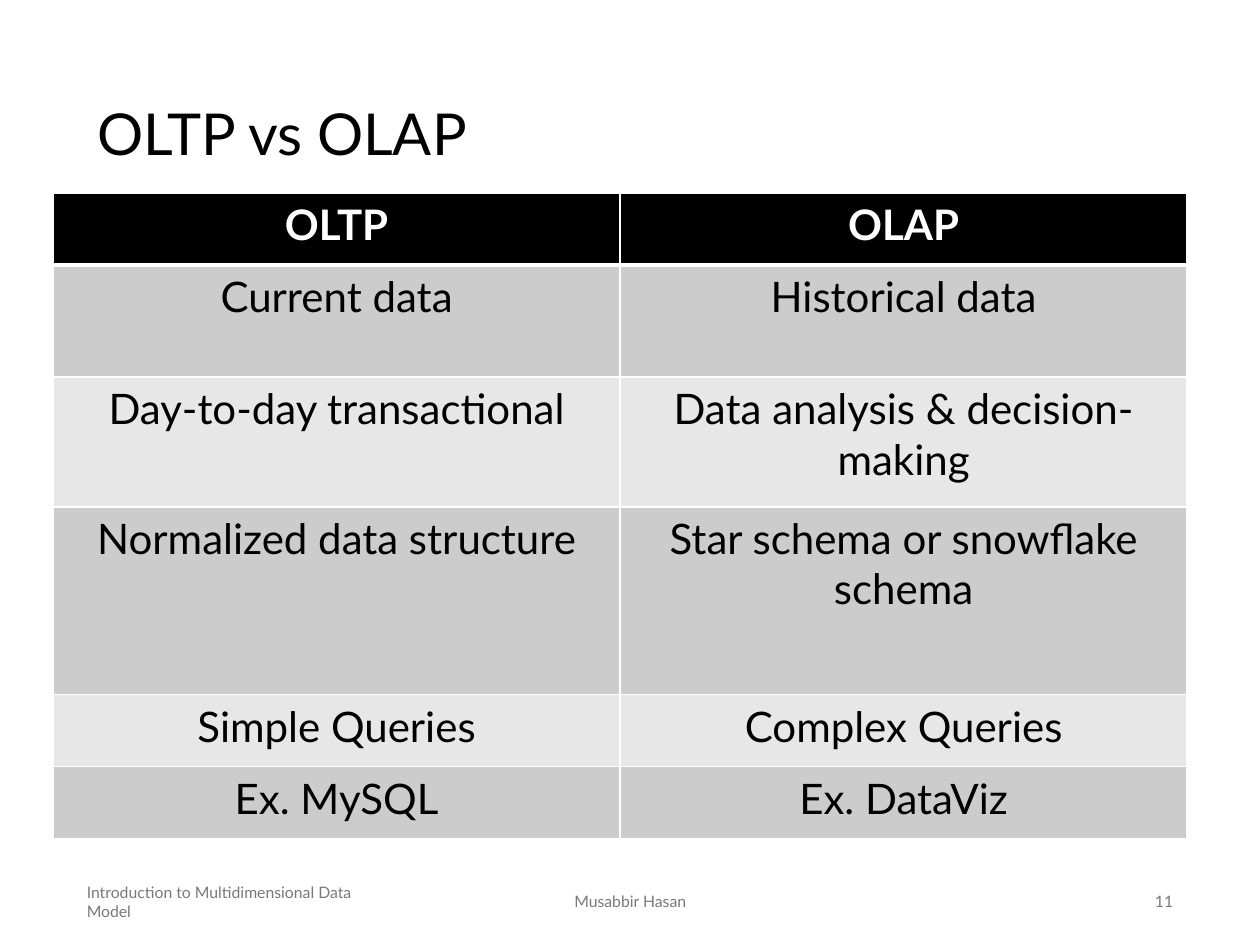
from dataclasses import dataclass

from lxml.etree import SubElement
from pptx import Presentation
from pptx.dml.color import RGBColor
from pptx.enum.text import MSO_ANCHOR, PP_ALIGN
from pptx.oxml.ns import qn
from pptx.util import Cm, Pt

COLORS = {
    "black": "000000",
    "white": "FFFFFF",
    "footer": "797979",
    "dark_band": "CCCCCC",
    "light_band": "E7E7E7",
}
FONT = "Lato"


@dataclass
class Label:
    text: str
    left: float
    top: float
    width: float
    height: float
    size: float = 9
    color: str = "footer"
    align: PP_ALIGN = PP_ALIGN.LEFT
    inset_top: float = 0.03


@dataclass
class Row:
    oltp: str
    olap: str
    height: float


FOOTER_TOP, FOOTER_HEIGHT = 17.65, 1.02
LABELS = [
    Label("OLTP vs OLAP", 1.96, 0.86, 21.46, 2.77, 33, "black", inset_top=0.86),
    Label("Introduction to Multidimensional Data Model",
          1.75, FOOTER_TOP, 5.72, FOOTER_HEIGHT),
    Label("Musabbir Hasan", 8.41, FOOTER_TOP, 8.59, FOOTER_HEIGHT,
          align=PP_ALIGN.CENTER),
    Label("11", 17.93, FOOTER_TOP, 5.72, FOOTER_HEIGHT, align=PP_ALIGN.RIGHT),
]
ROWS = [
    Row("OLTP", "OLAP", 1.45),
    Row("Current data", "Historical data", 2.26),
    Row("Day-to-day transactional", "Data analysis & decision-making", 2.62),
    Row("Normalized data structure", "Star schema or snowflake schema", 3.78),
    Row("Simple Queries", "Complex Queries", 1.45),
    Row("Ex. MySQL", "Ex. DataViz", 1.45),
]
COLUMN_WIDTH = 11.43


def rgb(name: str) -> RGBColor:
    return RGBColor.from_string(COLORS[name])


def write(tf, text: str, *, size: float, color: str,
          align: PP_ALIGN = PP_ALIGN.LEFT, bold: bool = False) -> None:
    p = tf.paragraphs[0]
    p.alignment = align
    r = p.add_run()
    r.text = text
    r.font.name = FONT
    r.font.size = Pt(size)
    r.font.bold = bold
    r.font.color.rgb = rgb(color)


def add_label(s, label: Label) -> None:
    sp = s.shapes.add_textbox(Cm(label.left), Cm(label.top),
                              Cm(label.width), Cm(label.height))
    tf = sp.text_frame
    tf.word_wrap = True
    tf.vertical_anchor = MSO_ANCHOR.MIDDLE
    tf.margin_left = tf.margin_right = tf.margin_bottom = 0
    tf.margin_top = Cm(label.inset_top)
    write(tf, label.text, size=label.size, color=label.color, align=label.align)


def set_borders(cell, **widths: float) -> None:
    tc_pr = cell._tc.get_or_add_tcPr()
    for side, width in widths.items():
        ln = SubElement(tc_pr, qn(f"a:ln{side}"), w=str(Pt(width)))
        fill = SubElement(ln, qn("a:solidFill"))
        SubElement(fill, qn("a:srgbClr"), val=COLORS["white"])


def add_comparison(s, rows: list[Row]) -> None:
    height = sum(row.height for row in rows)
    table = s.shapes.add_table(len(rows), 2, Cm(1.07), Cm(3.89),
                               Cm(2 * COLUMN_WIDTH), Cm(height)).table
    table.horz_banding = False
    for column in table.columns:
        column.width = Cm(COLUMN_WIDTH)
    for i, row in enumerate(rows):
        table.rows[i].height = Cm(row.height)
        header = i == 0
        band = "black" if header else "dark_band" if i % 2 else "light_band"
        for j, text in enumerate((row.oltp, row.olap)):
            cell = table.cell(i, j)
            set_borders(cell, L=1, R=1, T=3 if i == 1 else 1, B=3 if header else 1)
            cell.fill.solid()
            cell.fill.fore_color.rgb = rgb(band)
            write(cell.text_frame, text, size=24, align=PP_ALIGN.CENTER,
                  color="white" if header else "black", bold=header)


def main() -> None:
    prs = Presentation()
    prs.slide_width, prs.slide_height = Cm(25.4), Cm(19.05)
    s = prs.slides.add_slide(prs.slide_layouts[6])
    for label in LABELS:
        add_label(s, label)
    add_comparison(s, ROWS)
    prs.save("out.pptx")


if __name__ == "__main__":
    main()
